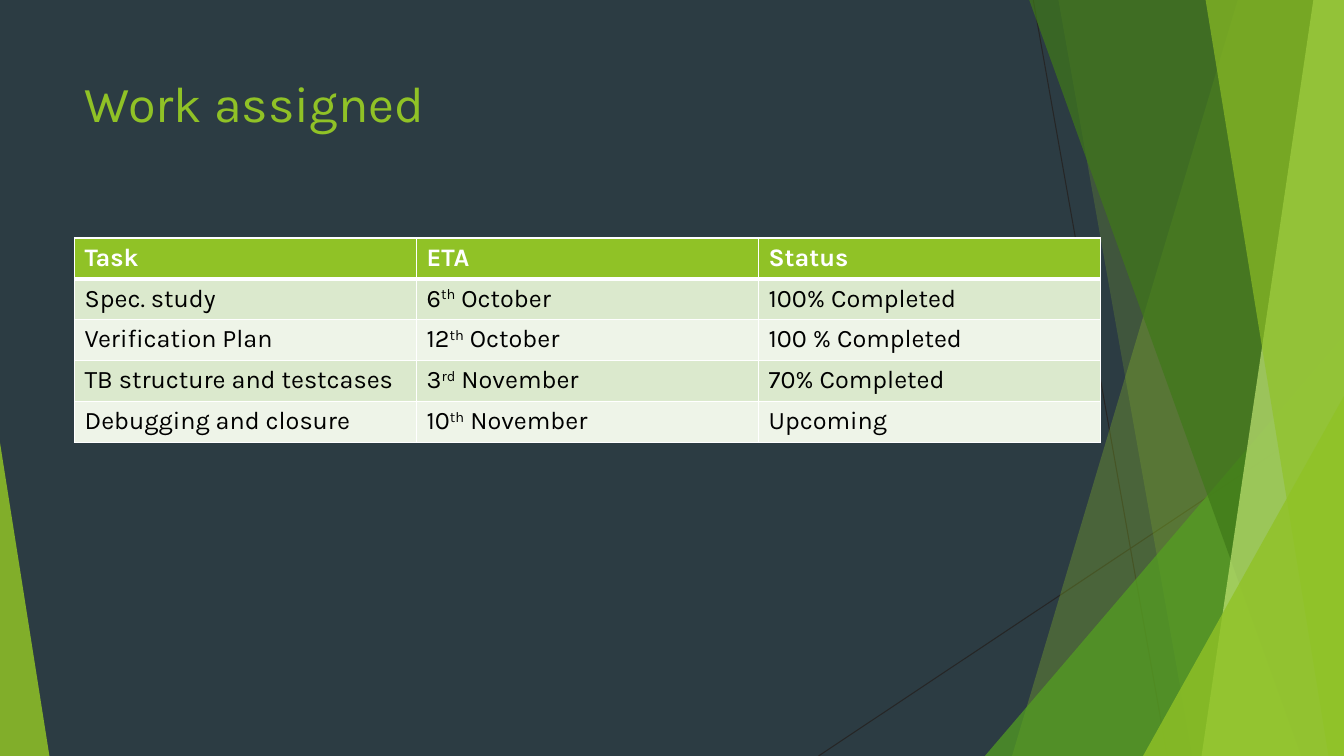
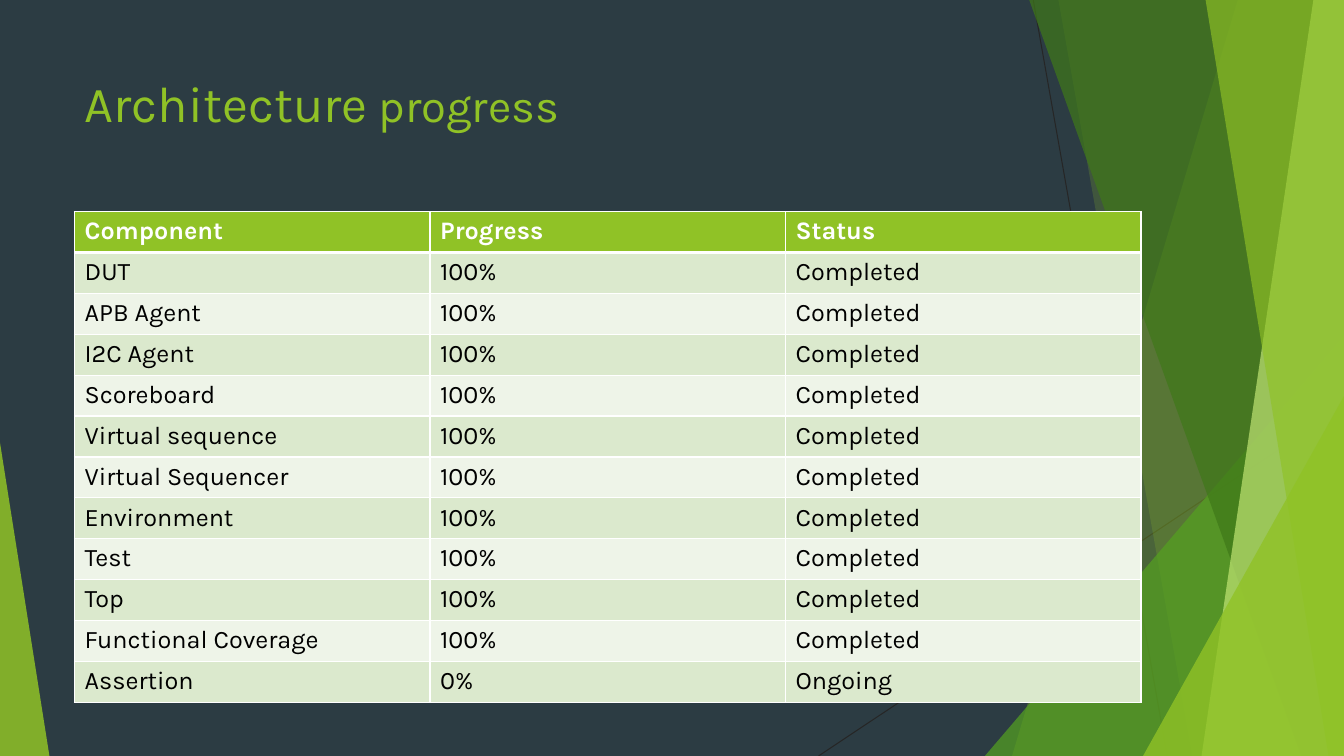
from lxml.etree import SubElement
from pptx import Presentation
from pptx.dml.color import RGBColor
from pptx.enum.shapes import MSO_CONNECTOR, MSO_SHAPE
from pptx.enum.text import MSO_ANCHOR, MSO_AUTO_SIZE, PP_ALIGN
from pptx.oxml import parse_xml
from pptx.oxml.ns import nsdecls, qn
from pptx.util import Inches, Pt


def color(hex_code):
    return RGBColor.from_string(hex_code)


class Deck:
    FONT = "Karla"
    NIGHT, INK, WHITE, BLACK = "2C3C43", "262626", "FFFFFF", "000000"
    LIME, LEAF, FOREST, PALE = "90C226", "54A021", "3F7819", "C0E474"
    ROW_FILLS = ("EEF4E8", "DBE9CD")
    MARGIN, ROW_HEIGHT = 5.55, 5.41
    RAYS = ((76.88, 0, 86.85, 100), (100, 53.73, 60.9, 100))
    FACETS = (
        ("band", 92.1, 75.3, LIME, 30),
        ("band", 78.75, 88.72, LIME, 20),
        ("corner", 73.28, 44.4, LEAF, 72),
        ("band", 76.58, 96.83, FOREST, 70),
        ("band", 97.72, 89.4, PALE, 70),
        ("band", 89.7, 98.85, LIME, 65),
        ("corner", 85.05, 52.4, LIME, 80),
    )

    def __init__(self):
        self.prs = Presentation()
        self.prs.slide_width, self.prs.slide_height = Inches(13.33), Inches(7.5)
        backdrop = self.prs.slide_master.background.fill
        backdrop.solid()
        backdrop.fore_color.rgb = color(self.NIGHT)
        self.slide = None

    def x(self, share):
        return round(self.prs.slide_width * share / 100)

    def y(self, share):
        return round(self.prs.slide_height * share / 100)

    def start(self, *title_runs):
        self.slide = self.prs.slides.add_slide(self.prs.slide_layouts[5])
        for ray in self.RAYS:
            self.ray(*ray)
        for kind, first, second, hex_code, opacity in self.FACETS:
            if kind == "band":
                self.band(first, second, hex_code, opacity)
            else:
                self.triangle(first, second, 100 - first, 1, hex_code, opacity)
        self.triangle(0, 58.53, 3.68, 0, self.LIME, 85)
        self.title(title_runs)

    def ray(self, x1, y1, x2, y2):
        ray = self.slide.shapes.add_connector(
            MSO_CONNECTOR.STRAIGHT, self.x(x1), self.y(y1), self.x(x2), self.y(y2))
        ray.line.color.rgb = color(self.INK)
        ray.line.width = Pt(0.75)
        SubElement(ray._element.spPr, qn("a:effectLst"))

    def band(self, top_x, bottom_x, hex_code, opacity):
        outline = self.slide.shapes.build_freeform(self.x(top_x), 0)
        corners = ((100, 0), (100, 100), (bottom_x, 100))
        outline.add_line_segments([(self.x(cx), self.y(cy)) for cx, cy in corners])
        self.tint(outline.convert_to_shape(), hex_code, opacity)

    def triangle(self, left, top, width, apex, hex_code, opacity):
        facet = self.slide.shapes.add_shape(
            MSO_SHAPE.ISOSCELES_TRIANGLE,
            self.x(left), self.y(top), self.x(width), self.y(100 - top))
        facet.adjustments[0] = apex
        self.tint(facet, hex_code, opacity)

    def tint(self, facet, hex_code, opacity):
        facet.shadow.inherit = False
        facet.line.fill.background()
        facet.fill.solid()
        facet.fill.fore_color.rgb = color(hex_code)
        shade = facet._element.spPr.find(qn("a:solidFill")).find(qn("a:srgbClr"))
        SubElement(shade, qn("a:alpha")).set("val", str(opacity * 1000))

    def title(self, title_runs):
        heading = self.slide.shapes.title
        heading.left, heading.top = self.x(self.MARGIN), self.y(8.93)
        heading.width, heading.height = self.x(70.5), self.y(8.53)
        frame = heading.text_frame
        frame.word_wrap = True
        frame.auto_size = MSO_AUTO_SIZE.NONE
        frame.vertical_anchor = MSO_ANCHOR.TOP
        frame.paragraphs[0].alignment = PP_ALIGN.LEFT
        for words, size in title_runs:
            self.run(frame.paragraphs[0], words, size, self.LIME)

    def run(self, paragraph, words, size, hex_code, bold=False):
        run = paragraph.add_run()
        run.text = words
        run.font.name, run.font.size, run.font.bold = self.FONT, Pt(size), bold
        run.font.color.rgb = color(hex_code)
        return run

    def table(self, top, width, rows):
        grid = self.slide.shapes.add_table(
            len(rows), len(rows[0]), self.x(self.MARGIN), self.y(top),
            self.x(width), self.y(self.ROW_HEIGHT * len(rows))).table
        for r, row in enumerate(rows):
            grid.rows[r].height = self.y(self.ROW_HEIGHT)
            for c, entry in enumerate(row):
                self.cell(grid.cell(r, c), r, entry)

    def cell(self, cell, row_index, entry):
        header = row_index == 0
        cell.fill.solid()
        cell.fill.fore_color.rgb = color(self.LIME if header else self.ROW_FILLS[row_index % 2])
        cell.vertical_anchor = MSO_ANCHOR.TOP
        for i, words in enumerate(entry.split("^")):
            run = self.run(cell.text_frame.paragraphs[0], words, 18,
                           self.WHITE if header else self.BLACK, header)
            if i % 2:
                run._r.get_or_add_rPr().set("baseline", "30000")
        widths = {"L": 1, "R": 1, "T": 3 if row_index == 1 else 1, "B": 3 if header else 1}
        for i, (side, width) in enumerate(widths.items()):
            cell._tc.get_or_add_tcPr().insert(i, parse_xml(
                f'<a:ln{side} {nsdecls("a")} w="{Pt(width)}"><a:solidFill>'
                f'<a:srgbClr val="{self.WHITE}"/></a:solidFill></a:ln{side}>'))


def main():
    deck = Deck()
    deck.start(("Work assigned", 36))
    deck.table(31.47, 76.35, [
        ("Task", "ETA", "Status"),
        ("Spec. study", "6^th^ October", "100% Completed"),
        ("Verification Plan", "12^th^ October", "100 % Completed"),
        ("TB structure and testcases", "3^rd^ November", "70% Completed"),
        ("Debugging and closure", "10^th^ November", "Upcoming"),
    ])

    finished = ("DUT", "APB Agent", "I2C Agent", "Scoreboard", "Virtual sequence",
                "Virtual Sequencer", "Environment", "Test", "Top", "Functional Coverage")
    deck.start(("Architecture", 36), (" progress", 32.4))
    deck.table(28, 79.35, [
        ("Component", "Progress", "Status"),
        *((component, "100%", "Completed") for component in finished),
        ("Assertion", "0%", "Ongoing"),
    ])
    deck.prs.save("out.pptx")


if __name__ == "__main__":
    main()
